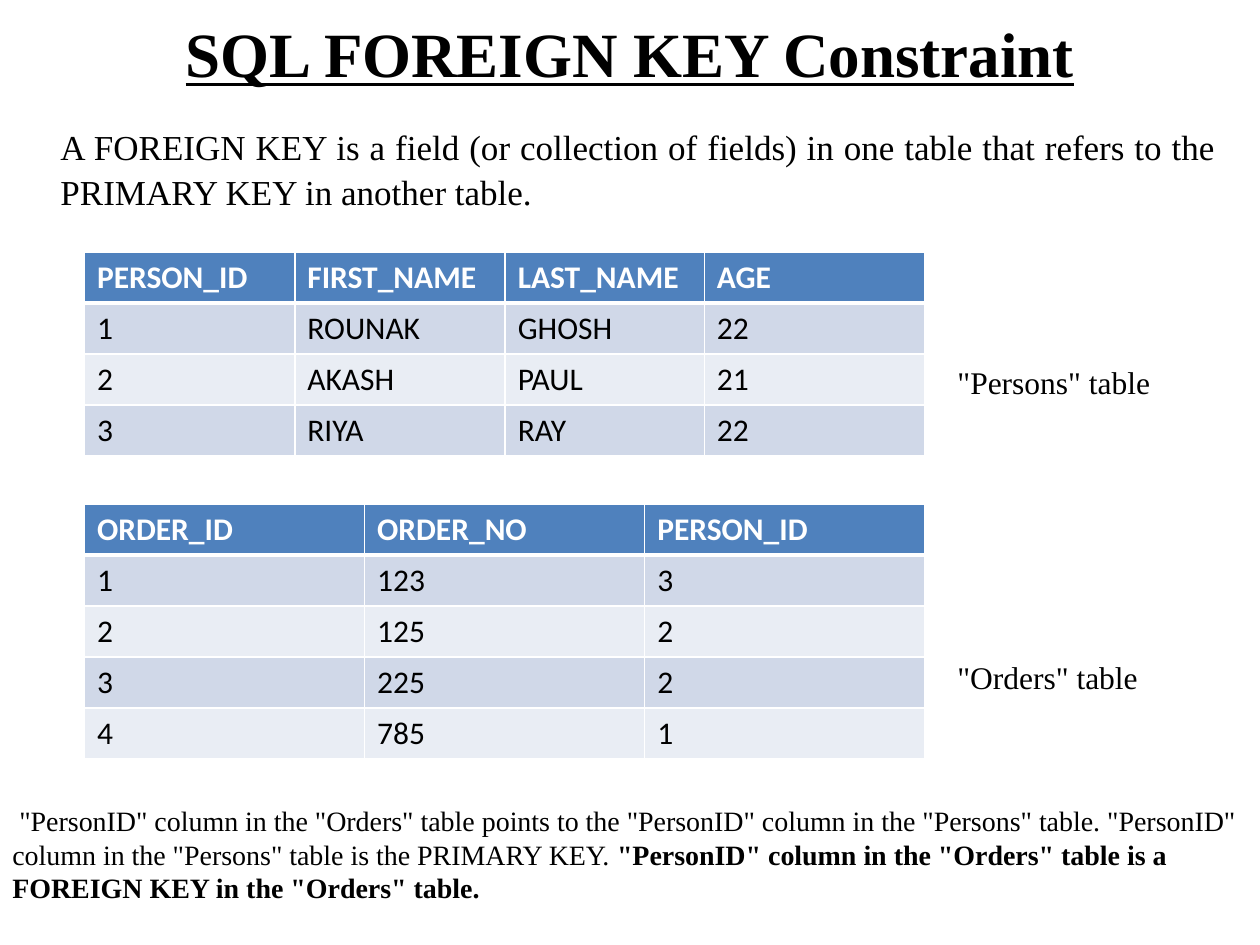
from lxml import etree
from pptx import Presentation
from pptx.dml.color import RGBColor
from pptx.enum.text import MSO_ANCHOR, MSO_AUTO_SIZE, PP_ALIGN
from pptx.oxml.ns import qn
from pptx.util import Inches, Pt

SERIF, SANS = "Times New Roman", "Calibri"
BLACK, WHITE, HEADER = "000000", "FFFFFF", "4F81BD"
BANDS = ["D0D8E8", "E9EDF4"]
ROW_H = 0.405

TITLE = "SQL FOREIGN KEY Constraint"
DEFINITION = ("A FOREIGN KEY is a field (or collection of fields) in one table "
              "that refers to the PRIMARY KEY in another table.")
TABLES = [
    {"top": 2, "widths": [1.67, 1.67, 1.58, 1.75], "rows": [
        ["PERSON_ID", "FIRST_NAME", "LAST_NAME", "AGE"],
        ["1", "ROUNAK", "GHOSH", "22"],
        ["2", "AKASH", "PAUL", "21"],
        ["3", "RIYA", "RAY", "22"]]},
    {"top": 4, "widths": [6.67 / 3] * 3, "rows": [
        ["ORDER_ID", "ORDER_NO", "PERSON_ID"],
        ["1", "123", "3"],
        ["2", "125", "2"],
        ["3", "225", "2"],
        ["4", "785", "1"]]},
]
LABELS = [('"Persons" table', 2.83, 1.75), ('"Orders" table', 5.17, 1.67)]
EXPLANATION = [
    (' "PersonID" column in the "Orders" table points to the "PersonID" column '
     'in the "Persons" table. "PersonID" column in the "Persons" table is the '
     'PRIMARY KEY. ', False),
    ('"PersonID" column in the "Orders" table is a FOREIGN KEY in the "Orders" table.',
     True),
]


def rgb(value):
    return RGBColor.from_string(value)


def style(r, size, name=SERIF, color=BLACK, bold=False):
    r.font.size, r.font.name, r.font.bold = Pt(size), name, bold
    r.font.color.rgb = rgb(color)


def add_text(slide, box, parts, size, wrap=True):
    sp = slide.shapes.add_textbox(*map(Inches, box))
    tf = sp.text_frame
    tf.word_wrap = wrap
    for text, bold in parts:
        r = tf.paragraphs[0].add_run()
        r.text = text
        style(r, size, bold=bold)
    return tf


def set_borders(cell, widths):
    tc_pr = cell._tc.get_or_add_tcPr()
    for i, (side, width) in enumerate(widths.items()):
        ln = etree.Element(qn(f"a:ln{side}"), w=str(Pt(width)))
        fill = etree.SubElement(ln, qn("a:solidFill"))
        etree.SubElement(fill, qn("a:srgbClr"), val=WHITE)
        tc_pr.insert(i, ln)


def add_grid(slide, top, widths, rows):
    box = map(Inches, (0.67, top, sum(widths), ROW_H * len(rows)))
    table = slide.shapes.add_table(len(rows), len(widths), *box).table
    for column, width in zip(table.columns, widths):
        column.width = Inches(width)
    for i, row in enumerate(rows):
        table.rows[i].height = Inches(ROW_H)
        head = i == 0
        for j, text in enumerate(row):
            cell = table.cell(i, j)
            cell.text = text
            style(cell.text_frame.paragraphs[0].runs[0], 18, SANS,
                  WHITE if head else BLACK, head)
            cell.fill.solid()
            cell.fill.fore_color.rgb = rgb(HEADER if head else BANDS[(i - 1) % 2])
            set_borders(cell, {"L": 1, "R": 1, "T": 3 if i == 1 else 1,
                               "B": 3 if head else 1})


def main():
    prs = Presentation()
    prs.slide_width, prs.slide_height = Inches(10), Inches(7.5)
    slide = prs.slides.add_slide(prs.slide_layouts[5])

    title = slide.shapes.title
    title.left, title.top, title.width, title.height = map(Inches, (0.5, 0, 9, 0.83))
    tf = title.text_frame
    tf.text = TITLE
    tf.vertical_anchor = MSO_ANCHOR.MIDDLE
    p = tf.paragraphs[0]
    p.alignment = PP_ALIGN.CENTER
    style(p.runs[0], 36, bold=True)
    p.runs[0].font.underline = True

    tf = add_text(slide, (0, 0.83, 9.75, 1), [(DEFINITION, False)], 20)
    tf.margin_left, tf.margin_top = Inches(0.48), Inches(0.14)
    tf.paragraphs[0].alignment = PP_ALIGN.JUSTIFY
    tf.paragraphs[0].line_spacing = Pt(25.7)

    for table in TABLES:
        add_grid(slide, **table)
    for text, top, width in LABELS:
        add_text(slide, (7.5, top, width, 0.4), [(text, False)], 18, wrap=False)

    tf = add_text(slide, (0, 6.33, 10, 0.91), EXPLANATION, 16)
    tf.auto_size = MSO_AUTO_SIZE.SHAPE_TO_FIT_TEXT
    prs.save("out.pptx")


if __name__ == "__main__":
    main()
